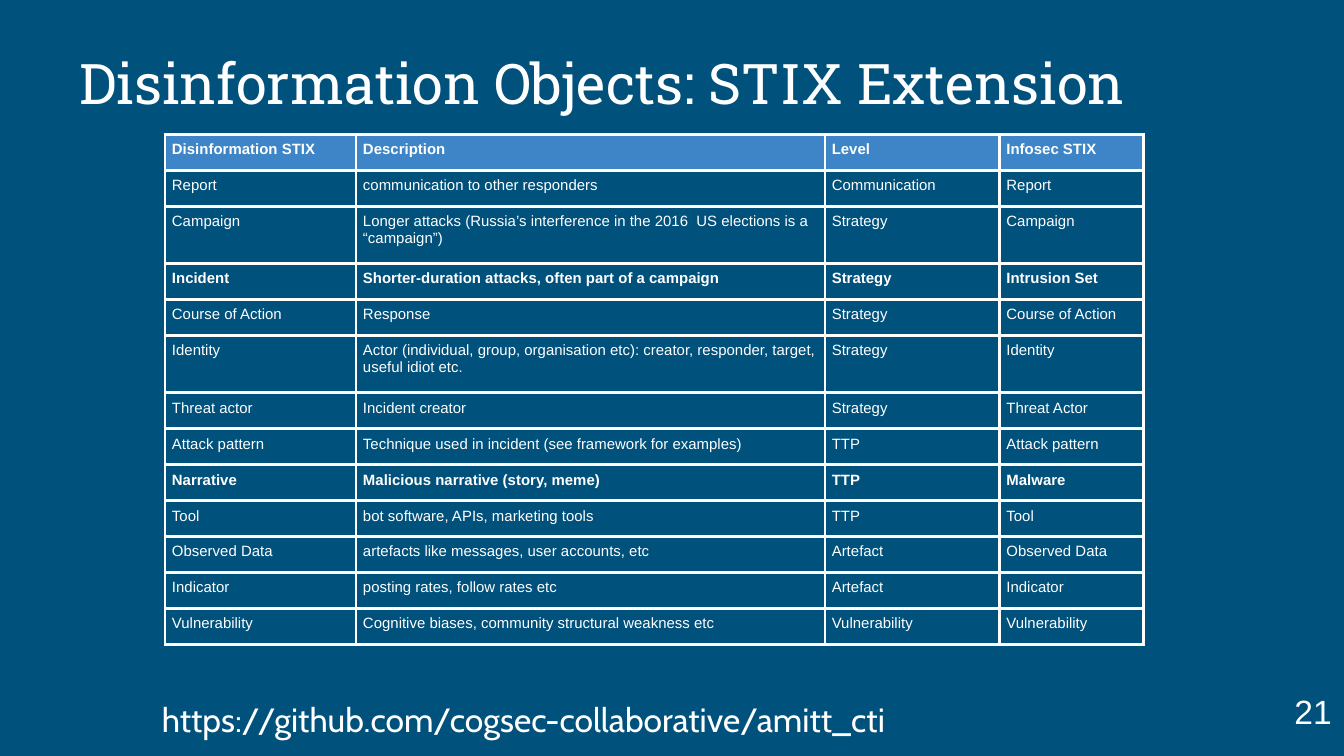
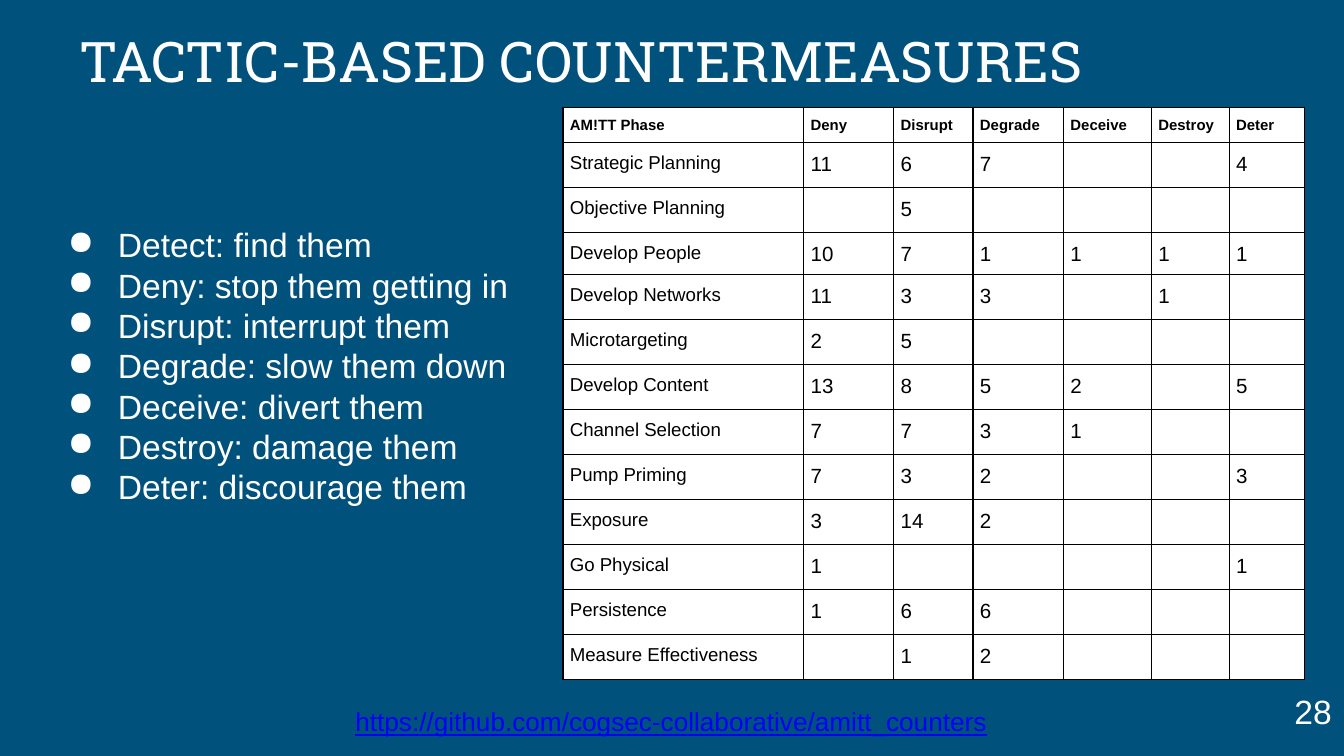
import pptx
import pptx.dml.color
import pptx.enum.text
import pptx.oxml
import pptx.oxml.ns
import pptx.util
from lxml import etree

Cm = pptx.util.Cm
Pt = pptx.util.Pt
ALIGN = pptx.enum.text.PP_ALIGN
ANCHOR = pptx.enum.text.MSO_ANCHOR
AUTO_SIZE = pptx.enum.text.MSO_AUTO_SIZE

# Shared look
NAVY, WHITE, BLACK = "00517C", "FFFFFF", "000000"
HEADER_BLUE, LINK_BLUE = "3D85C6", "0000FF"
TITLE_FONT, BODY_FONT, URL_FONT = "Roboto Slab", "Arial", "Cabin"
CELL_MARGIN = 0.13

STIX_COLUMNS = [3.61, 8.86, 3.3, 2.72]
STIX_BOLD_ROWS = {"Incident", "Narrative"}
STIX_TALL_ROWS = {"Campaign", "Identity"}
STIX_ROWS = [
    ["Disinformation STIX", "Description", "Level", "Infosec STIX"],
    ["Report", "communication to other responders", "Communication", "Report"],
    ["Campaign", "Longer attacks (Russia’s interference in the 2016  US elections is a “campaign”)",
     "Strategy", "Campaign"],
    ["Incident", "Shorter-duration attacks, often part of a campaign", "Strategy", "Intrusion Set"],
    ["Course of Action", "Response", "Strategy", "Course of Action"],
    ["Identity", "Actor (individual, group, organisation etc): creator, responder, target, useful idiot etc.",
     "Strategy", "Identity"],
    ["Threat actor", "Incident creator", "Strategy", "Threat Actor"],
    ["Attack pattern", "Technique used in incident (see framework for examples)", "TTP", "Attack pattern"],
    ["Narrative", "Malicious narrative (story, meme)", "TTP", "Malware"],
    ["Tool", "bot software, APIs, marketing tools", "TTP", "Tool"],
    ["Observed Data", "artefacts like messages, user accounts, etc", "Artefact", "Observed Data"],
    ["Indicator", "posting rates, follow rates etc", "Artefact", "Indicator"],
    ["Vulnerability", "Cognitive biases, community structural weakness etc", "Vulnerability", "Vulnerability"],
]

PHASE_COLUMNS = [4.55, 1.7, 1.5, 1.71, 1.66, 1.47, 1.42]
PHASE_ROWS = [
    ["AM!TT Phase", "Deny", "Disrupt", "Degrade", "Deceive", "Destroy", "Deter"],
    ["Strategic Planning", "11", "6", "7", "", "", "4"],
    ["Objective Planning", "", "5", "", "", "", ""],
    ["Develop People", "10", "7", "1", "1", "1", "1"],
    ["Develop Networks", "11", "3", "3", "", "1", ""],
    ["Microtargeting", "2", "5", "", "", "", ""],
    ["Develop Content", "13", "8", "5", "2", "", "5"],
    ["Channel Selection", "7", "7", "3", "1", "", ""],
    ["Pump Priming", "7", "3", "2", "", "", "3"],
    ["Exposure", "3", "14", "2", "", "", ""],
    ["Go Physical", "1", "", "", "", "", "1"],
    ["Persistence", "1", "6", "6", "", "", ""],
    ["Measure Effectiveness", "", "1", "2", "", "", ""],
]

COUNTERMEASURES = [
    "Detect: find them",
    "Deny: stop them getting in",
    "Disrupt: interrupt them",
    "Degrade: slow them down",
    "Deceive: divert them",
    "Destroy: damage them",
    "Deter: discourage them",
]


def colour(value):
    return pptx.dml.color.RGBColor.from_string(value)


def style_runs(para, size, font=BODY_FONT, tint=WHITE, bold=False, underline=None):
    for span in para.runs:
        span.font.size = Pt(size)
        span.font.name = font
        span.font.bold = bold
        span.font.underline = underline
        span.font.color.rgb = colour(tint)


def add_text(page, area, text, size, margin=0.1, anchor=ANCHOR.TOP, align=ALIGN.LEFT,
             wrap=True, grow=False, **look):
    box = page.shapes.add_textbox(*map(Cm, area))
    frame = box.text_frame
    frame.text = text
    frame.word_wrap = wrap
    frame.auto_size = AUTO_SIZE.SHAPE_TO_FIT_TEXT if grow else AUTO_SIZE.NONE
    frame.vertical_anchor = anchor
    frame.margin_left = frame.margin_right = Cm(margin)
    frame.margin_top = frame.margin_bottom = Cm(margin)
    for para in frame.paragraphs:
        para.alignment = align
        style_runs(para, size, **look)
    return frame


def set_indent(para, left, first):
    properties = para._p.get_or_add_pPr()
    properties.set("marL", str(Cm(left)))
    properties.set("indent", str(Cm(first)))
    return properties


def add_page(deck, title, title_area, number):
    page = deck.slides.add_slide(deck.slide_layouts[6])
    page.background.fill.solid()
    page.background.fill.fore_color.rgb = colour(NAVY)
    add_text(page, title_area, title, 30, anchor=ANCHOR.MIDDLE, font=TITLE_FONT)
    add_text(page, (24.33, 12.95, 0.94, 0.97), number, 18, anchor=ANCHOR.MIDDLE,
             align=ALIGN.RIGHT, wrap=False, grow=True)
    return page


# Table helpers
def set_borders(cell, tint, width):
    properties = cell._tc.get_or_add_tcPr()
    for side in ("lnL", "lnR", "lnT", "lnB"):
        line = etree.SubElement(properties, pptx.oxml.ns.qn(f"a:{side}"), w=str(Pt(width)))
        fill = etree.SubElement(line, pptx.oxml.ns.qn("a:solidFill"))
        etree.SubElement(fill, pptx.oxml.ns.qn("a:srgbClr"), val=tint)


def fill_cell(cell, text, size, fill, border, spacing=None, **look):
    cell.margin_left = cell.margin_right = Cm(CELL_MARGIN)
    cell.margin_top = cell.margin_bottom = Cm(CELL_MARGIN)
    set_borders(cell, *border)
    if fill:
        cell.fill.solid()
        cell.fill.fore_color.rgb = colour(fill)
    else:
        cell.fill.background()
    cell.text_frame.text = text
    para = cell.text_frame.paragraphs[0]
    para.line_spacing = spacing
    style_runs(para, size, **look)
    if not text:
        # An empty cell needs a text size so that its row stays low
        etree.SubElement(para._p, pptx.oxml.ns.qn("a:endParaRPr"), sz=str(size * 100))


def add_grid(page, left, top, widths, heights):
    frame = page.shapes.add_table(len(heights), len(widths), Cm(left), Cm(top),
                                  Cm(sum(widths)), Cm(sum(heights)))
    table = frame.table
    table.first_row = table.horz_banding = False
    for column, width in zip(table.columns, widths):
        column.width = Cm(width)
    for row, height in zip(table.rows, heights):
        row.height = Cm(height)
    return table


def add_stix_table(page, left, top):
    heights = [1.08 if row[0] in STIX_TALL_ROWS else 0.68 for row in STIX_ROWS]
    table = add_grid(page, left, top, STIX_COLUMNS, heights)
    for r, row in enumerate(STIX_ROWS):
        for c, text in enumerate(row):
            fill_cell(table.cell(r, c), text, 8, None if r else HEADER_BLUE, (WHITE, 1.5),
                      bold=r == 0 or row[0] in STIX_BOLD_ROWS)


def add_phase_table(page, left, top):
    # The fully filled row is a little lower than the others
    heights = [0.66] + [0.8 if all(row) else 0.85 for row in PHASE_ROWS[1:]]
    table = add_grid(page, left, top, PHASE_COLUMNS, heights)
    for r, row in enumerate(PHASE_ROWS):
        for c, text in enumerate(row):
            size = 8 if r == 0 else 10 if c == 0 else 11
            fill_cell(table.cell(r, c), text, size, WHITE, (BLACK, 0.75),
                      spacing=1.15, tint=BLACK, bold=r == 0)


def add_bullets(page, area, lines):
    frame = add_text(page, area, "\n".join(lines), 18, margin=0.25, grow=True)
    for para in frame.paragraphs:
        properties = set_indent(para, 1.27, -0.95)
        tint = etree.SubElement(properties, pptx.oxml.ns.qn("a:buClr"))
        etree.SubElement(tint, pptx.oxml.ns.qn("a:srgbClr"), val=WHITE)
        etree.SubElement(properties, pptx.oxml.ns.qn("a:buChar"), char="●")


# Slides
def build_stix_page(deck):
    page = add_page(deck, "Disinformation Objects: STIX Extension", (1.4, 0.25, 22.58, 2.62), "21")
    add_stix_table(page, 3.12, 2.54)
    frame = add_text(page, (2.01, 12.73, 22.58, 1.45),
                     "https://github.com/cogsec-collaborative/amitt_cti", 18, font=URL_FONT)
    frame.paragraphs[0].line_spacing = 1.5
    set_indent(frame.paragraphs[0], 0, 0.95)


def build_countermeasures_page(deck):
    page = add_page(deck, "TACTIC-BASED COUNTERMEASURES", (1.4, 0, 22.58, 2.26), "28")
    add_text(page, (5.77, 13.16, 13.84, 0.94),
             "https://github.com/cogsec-collaborative/amitt_counters", 14, margin=0.18,
             align=ALIGN.CENTER, grow=True, tint=LINK_BLUE, underline=True)
    add_bullets(page, (0.71, 3.99, 9.32, 5.66), COUNTERMEASURES)
    add_phase_table(page, 10.64, 2.03)


def main():
    deck = pptx.Presentation()
    deck.slide_width, deck.slide_height = Cm(25.4), Cm(14.29)
    build_stix_page(deck)
    build_countermeasures_page(deck)
    deck.save("out.pptx")


if __name__ == "__main__":
    main()
